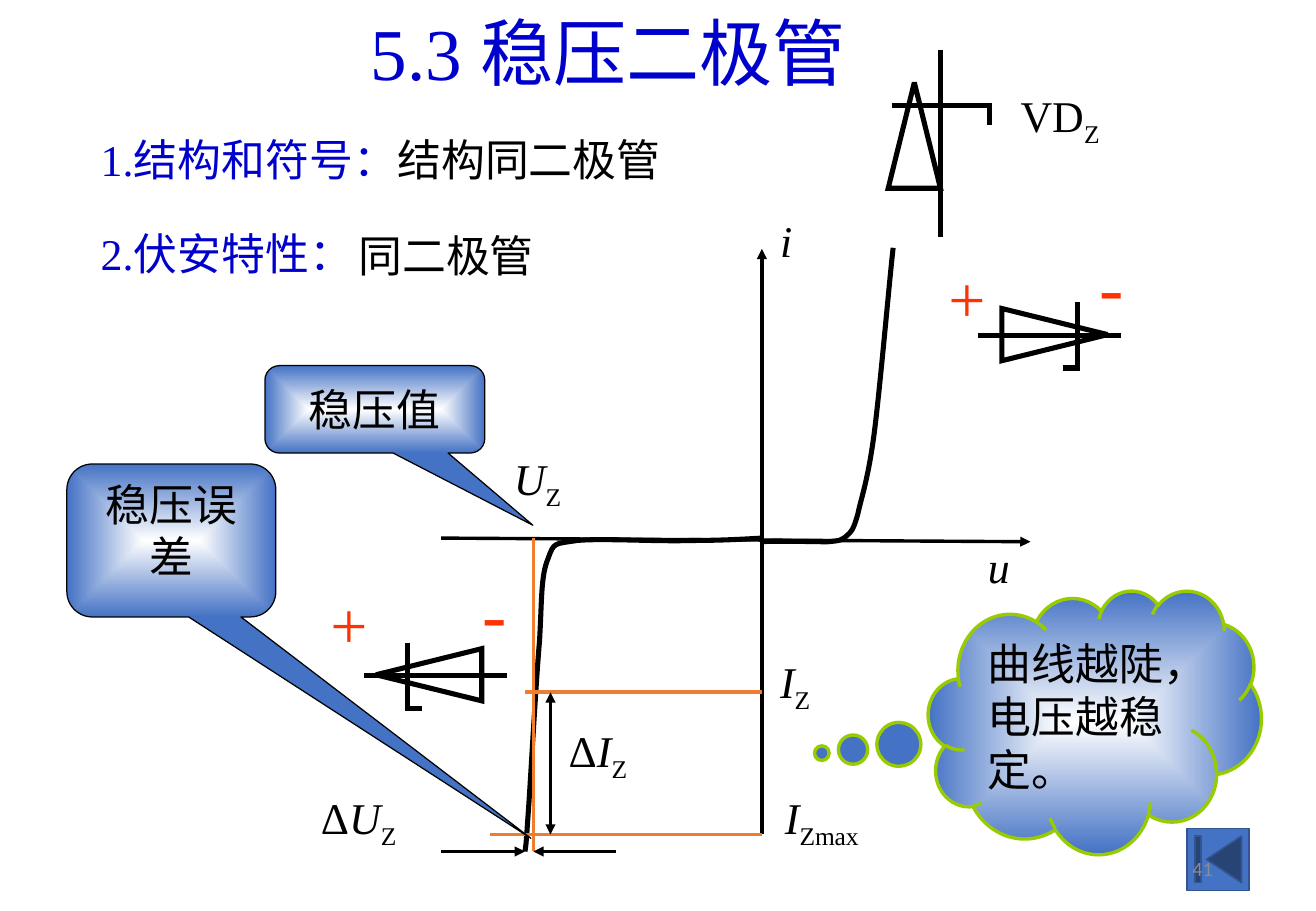
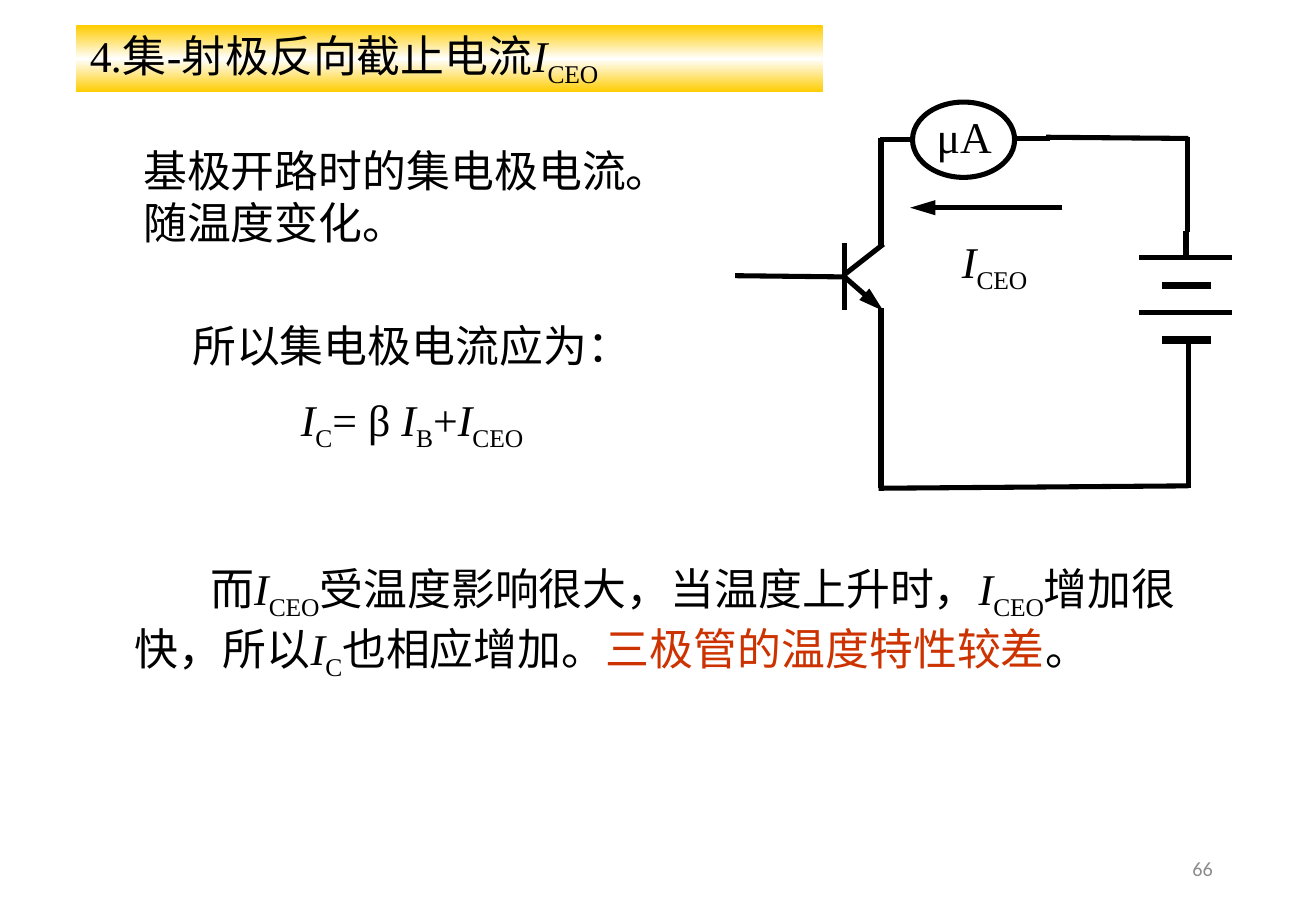
from lxml import etree
from pptx import Presentation
from pptx.dml.color import RGBColor
from pptx.enum.shapes import MSO_CONNECTOR, MSO_SHAPE
from pptx.enum.text import MSO_ANCHOR, PP_ALIGN
from pptx.oxml import parse_xml
from pptx.oxml.ns import nsdecls, qn
from pptx.util import Inches, Pt

COLORS = {
    "black": "000000",
    "heading": "0000CC",
    "guide": "ED7D31",
    "polarity": "FF3300",
    "warning": "CC3300",
    "blue": "4472C4",
    "button line": "325491",
    "cloud line": "99CC00",
    "gold": "FFCC00",
    "white": "FFFFFF",
    "page number": "8C8C8C",
}
SERIF = "Times New Roman"
BODY_SIZE = 26
WIDE_MARGINS = (0.11, 0.06)
TIGHT_MARGINS = (0.1, 0.05)
FROM_CENTER = ('<a:path path="rect"><a:fillToRect l="50000" t="50000" '
               'r="50000" b="50000"/></a:path>')
DOWNWARD = '<a:lin ang="5400000" scaled="0"/>'
CENTER_GLOW = ([(0, "white"), (100, "blue")], FROM_CENTER)
GOLD_BAND = ([(0, "gold"), (50, "white"), (100, "gold")], DOWNWARD)


def rgb(name):
    return RGBColor.from_string(COLORS[name])


def quantity(symbol, index):
    """Runs for an italic symbol with an upright subscript."""
    return [(symbol, "italic"), (index, "subscript")]


def write_paragraph(paragraph, runs, size, color, font, align):
    """Write runs; each is a string or a pair of text and style or colour."""
    paragraph.alignment = align
    paragraph.font.name = font
    paragraph.font.size = Pt(size)
    paragraph.font.color.rgb = rgb(color)
    for item in runs:
        text, style = (item, None) if isinstance(item, str) else item
        run = paragraph.add_run()
        run.text = text
        if style == "italic":
            run.font.italic = True
        elif style == "subscript":
            run._r.get_or_add_rPr().set("baseline", "-25000")
        elif style:
            run.font.color.rgb = rgb(style)


def write(shape, *paragraphs, size=BODY_SIZE, color="black", font=SERIF,
          align=PP_ALIGN.LEFT, anchor=MSO_ANCHOR.TOP, margins=WIDE_MARGINS,
          wrap=True):
    frame = shape.text_frame
    frame.word_wrap = wrap
    frame.vertical_anchor = anchor
    frame.margin_left = frame.margin_right = Inches(margins[0])
    frame.margin_top = frame.margin_bottom = Inches(margins[1])
    for index, runs in enumerate(paragraphs):
        paragraph = frame.add_paragraph() if index else frame.paragraphs[0]
        write_paragraph(paragraph, runs, size, color, font, align)
        if index:
            paragraph.space_before = Pt(size / 2)


def add_text(slide, box, *paragraphs, **style):
    shape = slide.shapes.add_textbox(*map(Inches, box))
    write(shape, *paragraphs, **style)
    return shape


def add_line(slide, start, end, color="black", width=3, arrows=(), length="med"):
    """Draw a straight line; arrows may hold headEnd (start) and tailEnd (end)."""
    line = slide.shapes.add_connector(
        MSO_CONNECTOR.STRAIGHT, *map(Inches, (*start, *end)))
    line.line.color.rgb = rgb(color)
    line.line.width = Pt(width)
    outline = line.line._get_or_add_ln()
    for arrow in arrows:
        arrowhead = etree.SubElement(outline, qn(f"a:{arrow}"))
        arrowhead.set("type", "triangle")
        arrowhead.set("len", length)
    etree.SubElement(line._element.spPr, qn("a:effectLst"))


def fill_gradient(shape, stops, direction):
    shape.fill.background()
    stop_xml = "".join(
        f'<a:gs pos="{position * 1000}"><a:srgbClr val="{COLORS[name]}"/></a:gs>'
        for position, name in stops)
    gradient = parse_xml(f'<a:gradFill {nsdecls("a")} rotWithShape="1">'
                         f'<a:gsLst>{stop_xml}</a:gsLst>{direction}</a:gradFill>')
    properties = shape._element.spPr
    properties.replace(properties.find(qn("a:noFill")), gradient)


def set_outline(shape, color, width):
    shape.shadow.inherit = False
    if color:
        shape.line.color.rgb = rgb(color)
        shape.line.width = Pt(width)
    else:
        shape.line.fill.background()


def add_shape(slide, kind, box, fill=None, gradient=None, line="black", width=3,
              adjustments=()):
    shape = slide.shapes.add_shape(kind, *map(Inches, box))
    for index, value in enumerate(adjustments):
        shape.adjustments[index] = value
    if gradient:
        fill_gradient(shape, *gradient)
    elif fill:
        shape.fill.solid()
        shape.fill.fore_color.rgb = rgb(fill)
    else:
        shape.fill.background()
    set_outline(shape, line, width)
    return shape


def add_curve(slide, *points):
    """Draw joined cubic curves: a start, then two controls and an end for each."""
    start, *others = [tuple(map(Inches, point)) for point in points]
    builder = slide.shapes.build_freeform(*start)
    builder.add_line_segments(others, close=False)
    curve = builder.convert_to_shape()
    segments = list(curve._element.iter(qn("a:lnTo")))
    for index in range(0, len(segments), 3):
        cubic = etree.Element(qn("a:cubicBezTo"))
        segments[index].addprevious(cubic)
        for segment in segments[index:index + 3]:
            cubic.append(segment[0])
            segment.getparent().remove(segment)
    curve.fill.background()
    set_outline(curve, "black", 3)


def add_triangle(slide, left, top, rotation=0):
    """Diode triangle with sharp corners."""
    triangle = add_shape(slide, MSO_SHAPE.ISOSCELES_TRIANGLE,
                         (left, top, 0.43, 0.87))
    triangle.rotation = rotation
    corner = etree.SubElement(triangle.line._get_or_add_ln(), qn("a:miter"))
    corner.set("lim", "800000")


def add_zener(slide, x, y, direction):
    """Horizontal Zener symbol centred at x, y; direction 1 points right, -1 left."""
    def along(offset):
        return x + direction * offset

    bar = along(0.185)
    add_line(slide, (bar, y - 0.27), (bar, y + 0.29))
    add_triangle(slide, x - 0.22, y - 0.44, 90 * direction)
    add_line(slide, (along(0.2), y + 0.27), (along(0.065), y + 0.27))
    add_line(slide, (along(0.54), y), (along(-0.635), y))


def add_upright_zener(slide):
    add_line(slide, (7.34, 0.87), (8.16, 0.87))
    add_triangle(slide, 7.31, 0.68)
    add_line(slide, (8.14, 0.86), (8.14, 1.03))
    add_line(slide, (7.74, 0.41), (7.74, 1.95))


def add_polarity(slide, left, top):
    plus = add_text(slide, (left, top, 0.53, 0.77), ["+"], size=39,
                    color="polarity", align=PP_ALIGN.CENTER,
                    anchor=MSO_ANCHOR.MIDDLE, wrap=False)
    plus.rotation = 90
    add_text(slide, (left + 1.22, top - 0.16, 0.81, 0.83), ["-"], size=43.3,
             color="polarity", margins=TIGHT_MARGINS)


def add_callout(slide, box, text, pointer, anchor, wrap):
    callout = add_shape(slide, MSO_SHAPE.ROUNDED_RECTANGULAR_CALLOUT, box,
                        gradient=CENTER_GLOW, width=0.75,
                        adjustments=(*pointer, 0.167))
    write(callout, [text], align=PP_ALIGN.CENTER, anchor=anchor,
          margins=TIGHT_MARGINS, wrap=wrap)


def add_page_number(slide, number):
    add_text(slide, (7.64, 6.95, 2.44, 0.4), [str(number)], size=12,
             color="page number", font="Calibri", align=PP_ALIGN.RIGHT,
             anchor=MSO_ANCHOR.MIDDLE, margins=TIGHT_MARGINS)


def add_characteristic(slide):
    """Current-voltage curve with its axes, guides and labels."""
    add_line(slide, (6.27, 6.87), (6.27, 2.05), width=2, arrows=["tailEnd"])
    add_line(slide, (3.63, 4.43), (8.48, 4.46), width=2, arrows=["tailEnd"])
    add_curve(slide, (6.27, 4.46),
              (6.36, 4.45), (6.69, 4.46), (6.81, 4.46),
              (6.92, 4.45), (6.92, 4.45), (6.97, 4.41),
              (7.01, 4.37), (7.02, 4.37), (7.06, 4.23),
              (7.09, 4.09), (7.14, 3.96), (7.19, 3.6),
              (7.24, 3.23), (7.32, 2.3), (7.35, 2.04))
    add_curve(slide, (6.27, 4.43),
              (6.1, 4.44), (5.93, 4.45), (5.68, 4.45),
              (5.43, 4.46), (4.95, 4.43), (4.75, 4.45),
              (4.56, 4.48), (4.56, 4.46), (4.51, 4.6),
              (4.45, 4.74), (4.46, 4.94), (4.44, 5.28),
              (4.41, 5.62), (4.37, 6.36), (4.35, 6.65),
              (4.33, 6.94), (4.33, 6.95), (4.32, 7.01))
    for start, end in [((4.39, 4.43), (4.39, 7.01)), ((4.32, 5.7), (6.27, 5.7)),
                       ((6.27, 6.87), (4.03, 6.87))]:
        add_line(slide, start, end, "guide", 2.25)
    for start, end in [(3.63, 4.32), (5.07, 4.39)]:
        add_line(slide, (start, 7.01), (end, 7.01), width=2, arrows=["tailEnd"])
    add_line(slide, (4.53, 5.7), (4.53, 6.87), width=2,
             arrows=["headEnd", "tailEnd"])
    for left, top, width, runs in [
            (8.02, 4.38, 1.69, [("u", "italic")]),
            (6.31, 1.7, 0.36, [("i", "italic")]),
            (4.12, 3.66, 1.51, quantity("U", "Z")),
            (6.31, 5.33, 1.87, quantity("I", "Z")),
            (6.35, 6.45, 2.26, quantity("I", "Zmax")),
            (2.53, 6.45, 1.99, ["Δ", *quantity("U", "Z")]),
            (4.57, 5.9, 1.51, ["Δ", *quantity("I", "Z")])]:
        add_text(slide, (left, top, width, 0.55), runs)


def build_zener_slide(slide):
    add_text(slide, (2.94, 0, 4.61, 0.84), ["5.3 稳压二极管"], size=43.3,
             color="heading")
    add_characteristic(slide)
    cloud = add_shape(slide, MSO_SHAPE.CLOUD_CALLOUT, (7.64, 4.86, 2.74, 2.17),
                      gradient=CENTER_GLOW, line="cloud line", width=2,
                      adjustments=(-0.82, 0.118))
    write(cloud, ["曲线越陡，电压越稳定。"], anchor=MSO_ANCHOR.MIDDLE)
    add_upright_zener(slide)
    for box, runs, font in [
            ((0.73, 1.04, 6.41, 0.54),
             [("1.结构和符号：", "heading"), "结构同二极管"], SERIF),
            ((0.73, 1.82, 4.38, 0.54), [("2.伏安特性：", "heading")], SERIF),
            ((2.85, 1.83, 1.99, 0.54), ["同二极管"], "Noto Sans CJK SC"),
            ((8.3, 0.68, 1.72, 0.54), ["VD", ("Z", "subscript")], SERIF)]:
        add_text(slide, box, runs, font=font, margins=TIGHT_MARGINS)
    add_callout(slide, (2.18, 3.01, 1.81, 0.72), "稳压值", (0.719, 1.326),
                MSO_ANCHOR.MIDDLE, False)
    add_callout(slide, (0.55, 3.82, 1.72, 1.26), "稳压误差", (1.72, 1.946),
                MSO_ANCHOR.TOP, True)
    add_zener(slide, 8.685, 2.76, 1)
    add_zener(slide, 3.535, 5.56, -1)
    add_polarity(slide, 7.73, 2.09)
    add_polarity(slide, 2.65, 4.78)
    add_shape(slide, MSO_SHAPE.ACTION_BUTTON_BEGINNING, (9.77, 6.82, 0.51, 0.51),
              fill="blue", line="button line", width=1)
    add_page_number(slide, 41)


def add_circuit(slide):
    """Transistor with open base, microammeter and battery."""
    transistor = [((6.05, 2.27), (6.97, 2.28)), ((6.95, 2), (6.95, 2.55)),
                  ((6.95, 2.26), (7.27, 2.01))]
    wires = [((7.25, 1.14), (7.25, 2.03)), ((7.25, 2.54), (7.25, 3.55)),
             ((7.25, 4.02), (7.25, 3.47)), ((7.5, 1.15), (7.24, 1.15)),
             ((8.37, 1.14), (8.64, 1.14)), ((8.61, 1.13), (9.78, 1.14)),
             ((9.77, 1.91), (9.77, 1.13)), ((9.76, 1.9), (9.76, 2.13)),
             ((9.78, 2.79), (9.78, 3.02)), ((9.78, 2.99), (9.78, 4.02)),
             ((7.23, 4.02), (9.78, 4))]
    for start, end in transistor + wires:
        add_line(slide, start, end)
    for start, end in [((6.95, 2.28), (7.27, 2.56)), ((8.74, 1.71), (7.49, 1.71))]:
        add_line(slide, start, end, arrows=["tailEnd"], length="lg")
    for top in (2.12, 2.57):
        add_line(slide, (10.14, top), (9.37, top))
        add_line(slide, (9.97, top + 0.23), (9.56, top + 0.23), width=4.5)
    add_shape(slide, MSO_SHAPE.OVAL, (7.51, 0.84, 0.84, 0.62))
    for box, runs in [((7.52, 0.84, 0.83, 0.55), ["μA"]),
                      ((7.66, 1.9, 1.05, 0.55), quantity("I", "CEO"))]:
        add_text(slide, box, runs, align=PP_ALIGN.CENTER, anchor=MSO_ANCHOR.MIDDLE)


def build_cutoff_slide(slide):
    cutoff_current = quantity("I", "CEO")
    band = add_shape(slide, MSO_SHAPE.RECTANGLE, (0.63, 0.21, 6.14, 0.55),
                     gradient=GOLD_BAND, line=None)
    write(band, ["4", (".", "italic"), "集-射极反向截止电流", *cutoff_current],
          anchor=MSO_ANCHOR.MIDDLE)
    add_circuit(slide)
    add_text(slide, (1.08, 1.13, 4.6, 0.98),
             ["基极开路时的集电极电流。随温度变化。"], margins=TIGHT_MARGINS)
    add_text(slide, (1.09, 2.57, 4.6, 1.21), ["所以集电极电流应为："],
             [*quantity("I", "C"), "= β ", *quantity("I", "B"), "+", *cutoff_current],
             align=PP_ALIGN.CENTER, anchor=MSO_ANCHOR.MIDDLE)
    conclusion = add_text(
        slide, (1, 4.62, 8.79, 0.99),
        ["而", *cutoff_current, "受温度影响很大，当温度上升时，", *cutoff_current,
         "增加很快，所以", *quantity("I", "C"), "也相应增加。",
         ("三极管的温度特性较差", "warning"), "。"],
        anchor=MSO_ANCHOR.MIDDLE)
    properties = conclusion.text_frame.paragraphs[0]._p.get_or_add_pPr()
    properties.set("indent", str(Inches(0.62)))
    add_page_number(slide, 66)


def main():
    presentation = Presentation()
    presentation.slide_width = Inches(10.83)
    presentation.slide_height = Inches(7.5)
    blank = presentation.slide_layouts[6]
    for build in (build_zener_slide, build_cutoff_slide):
        build(presentation.slides.add_slide(blank))
    presentation.save("out.pptx")


if __name__ == "__main__":
    main()
